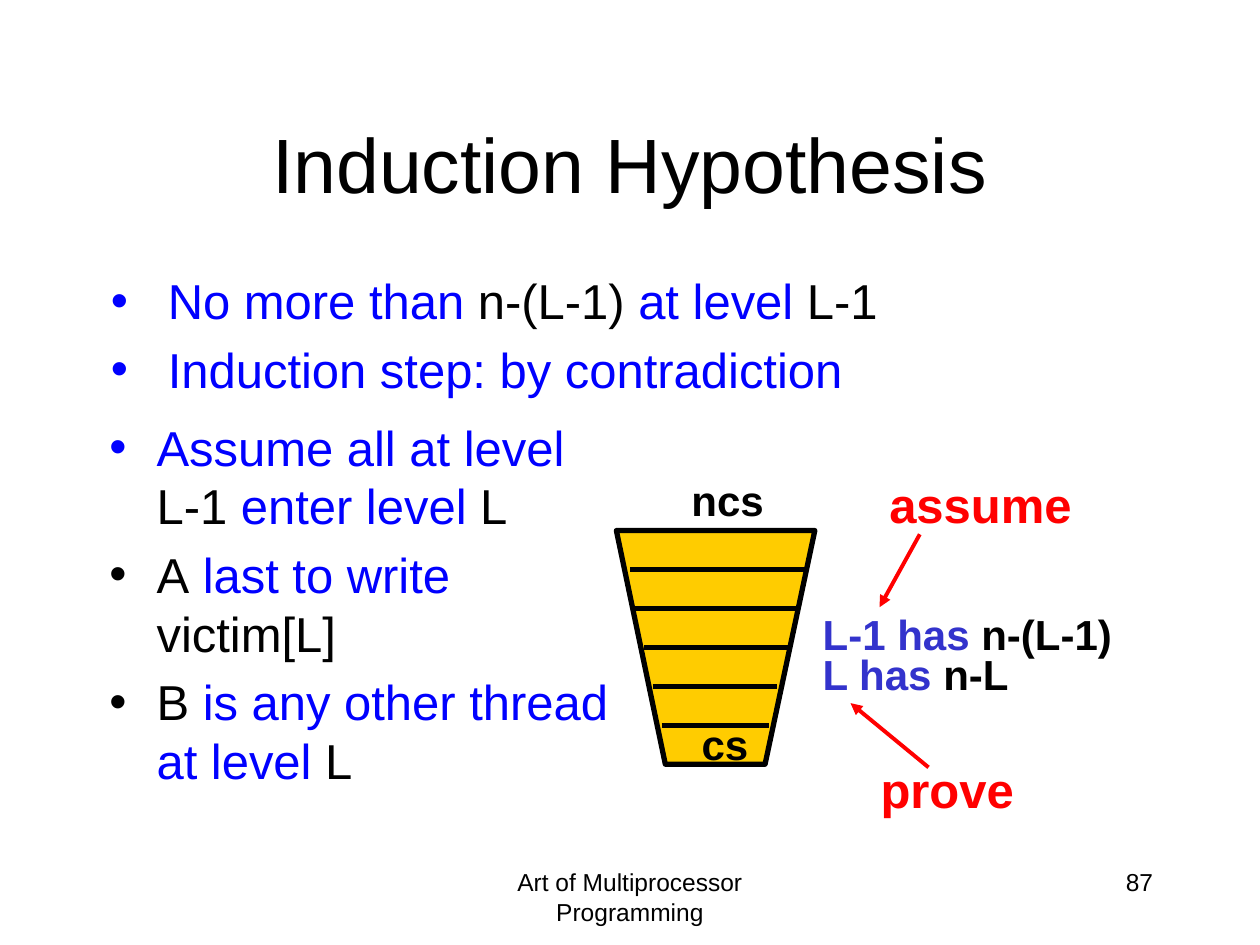
from dataclasses import dataclass

from lxml.etree import SubElement
from pptx import Presentation
from pptx.dml.color import RGBColor
from pptx.enum.shapes import MSO_CONNECTOR
from pptx.enum.text import MSO_ANCHOR, PP_ALIGN
from pptx.oxml.ns import qn
from pptx.util import Pt


@dataclass(frozen=True)
class Theme:
    font: str = "Arial"
    black: str = "000000"
    blue: str = "0000FF"
    indigo: str = "3333CC"
    red: str = "FF0000"
    gold: str = "FFCC00"
    title_size: float = 44
    body_size: float = 28
    label_size: float = 24
    footer_size: float = 14
    line_height: float = 1.2
    paragraph_gap: float = 5.6


THEME = Theme()


def add_bullet(paragraph, color, indent):
    properties = paragraph._p.get_or_add_pPr()
    properties.set("marL", str(Pt(indent)))
    properties.set("indent", str(-Pt(indent)))
    bullet_color = SubElement(properties, qn("a:buClr"))
    SubElement(bullet_color, qn("a:srgbClr"), val=color)
    SubElement(properties, qn("a:buFont"), typeface=THEME.font)
    SubElement(properties, qn("a:buChar"), char="•")


def add_runs(paragraph, runs, size, bold):
    paragraph.line_spacing = Pt(round(size * THEME.line_height, 1))
    for text, color in runs:
        run = paragraph.add_run()
        run.text = text
        run.font.name = THEME.font
        run.font.size = Pt(size)
        run.font.bold = bold
        run.font.color.rgb = RGBColor.from_string(color)


def add_text(slide, box, paragraphs, size, bold=False, align=PP_ALIGN.LEFT,
             anchor=MSO_ANCHOR.TOP, wrap=True, bullet_indent=None):
    shape = slide.shapes.add_textbox(*map(Pt, box))
    frame = shape.text_frame
    frame.word_wrap = wrap
    frame.vertical_anchor = anchor
    for index, runs in enumerate(paragraphs):
        paragraph = frame.add_paragraph() if index else frame.paragraphs[0]
        if bullet_indent:
            add_bullet(paragraph, runs[0][1], bullet_indent)
        if index:
            paragraph.space_before = Pt(THEME.paragraph_gap)
        paragraph.alignment = align
        add_runs(paragraph, runs, size, bold)


def add_label(slide, box, runs, size=THEME.label_size):
    add_text(slide, box, [runs], size, bold=True, wrap=False)


def add_line(slide, start, end, color, width, arrow=False):
    connector = slide.shapes.add_connector(
        MSO_CONNECTOR.STRAIGHT, *map(Pt, start + end))
    connector.line.color.rgb = RGBColor.from_string(color)
    connector.line.width = Pt(width)
    if arrow:
        SubElement(connector.line._get_or_add_ln(), qn("a:tailEnd"), type="triangle")
    SubElement(connector._element.spPr, qn("a:effectLst"))


def add_funnel(slide):
    corners = [(380.2, 436.7), (437.2, 436.7), (465.6, 303.2)]
    builder = slide.shapes.build_freeform(Pt(352.2), Pt(303.2))
    builder.add_line_segments([(Pt(x), Pt(y)) for x, y in corners], close=True)
    funnel = builder.convert_to_shape()
    funnel.shadow.inherit = False
    funnel.fill.solid()
    funnel.fill.fore_color.rgb = RGBColor.from_string(THEME.gold)
    funnel.line.color.rgb = RGBColor.from_string(THEME.black)
    funnel.line.width = Pt(3)

    level_spans = [(360, 460.8), (362.2, 455), (367.9, 450), (373, 444.2), (378, 439.2)]
    for level, (left, right) in enumerate(level_spans):
        top = 325.4 + 22.3 * level
        add_line(slide, (left, top), (right, top), THEME.black, 3)


def main():
    presentation = Presentation()
    presentation.slide_width, presentation.slide_height = Pt(720), Pt(540)
    slide = presentation.slides.add_slide(presentation.slide_layouts[6])
    black, blue, indigo, red = THEME.black, THEME.blue, THEME.indigo, THEME.red

    add_text(slide, (246, 492, 228, 36),
             [[("Art of Multiprocessor Programming", black)]],
             THEME.footer_size, align=PP_ALIGN.CENTER)
    add_text(slide, (516, 492, 150, 36), [[("87", black)]],
             THEME.footer_size, align=PP_ALIGN.RIGHT)
    add_text(slide, (54, 48, 612, 90), [[("Induction Hypothesis", black)]],
             THEME.title_size, align=PP_ALIGN.CENTER, anchor=MSO_ANCHOR.MIDDLE)

    proof_steps = [
        [("Assume all at level", blue), (" L-1", black),
         (" enter level ", blue), ("L", black)],
        [("A", black), (" last to write ", blue), ("victim[L]", black)],
        [("B", black), (" is any other thread at level ", blue), ("L", black)],
    ]
    add_text(slide, (55.4, 234.8, 300.2, 275), proof_steps,
             THEME.body_size, bullet_indent=27)
    hypothesis = [
        [("No more than ", blue), ("n-(L-1) ", black),
         ("at level ", blue), ("L-1", black)],
        [("Induction step: by contradiction", blue)],
    ]
    add_text(slide, (56.2, 151.2, 459.4, 82), hypothesis,
             THEME.body_size, bullet_indent=32.6)

    add_funnel(slide)
    add_label(slide, (388, 267.8, 56.2, 36.7), [("ncs", black)])
    add_label(slide, (393.8, 406.8, 41.8, 36.7), [("cs", black)])
    add_label(slide, (463, 344.2, 181.4, 36.7),
              [("L-1 has ", indigo), ("n-(L-1)", black)])
    add_label(slide, (463, 367.2, 121.7, 36.7),
              [("L has ", indigo), ("n-L", black)])

    add_label(slide, (501.1, 267.8, 120.2, 41), [("assume", red)], THEME.body_size)
    add_line(slide, (525.6, 305.3), (502.6, 347), red, 2.25, arrow=True)
    add_label(slide, (496.1, 430.6, 91.4, 41), [("prove", red)], THEME.body_size)
    add_line(slide, (530.6, 438.5), (486, 401.8), red, 2.25, arrow=True)

    presentation.save("out.pptx")


if __name__ == "__main__":
    main()
